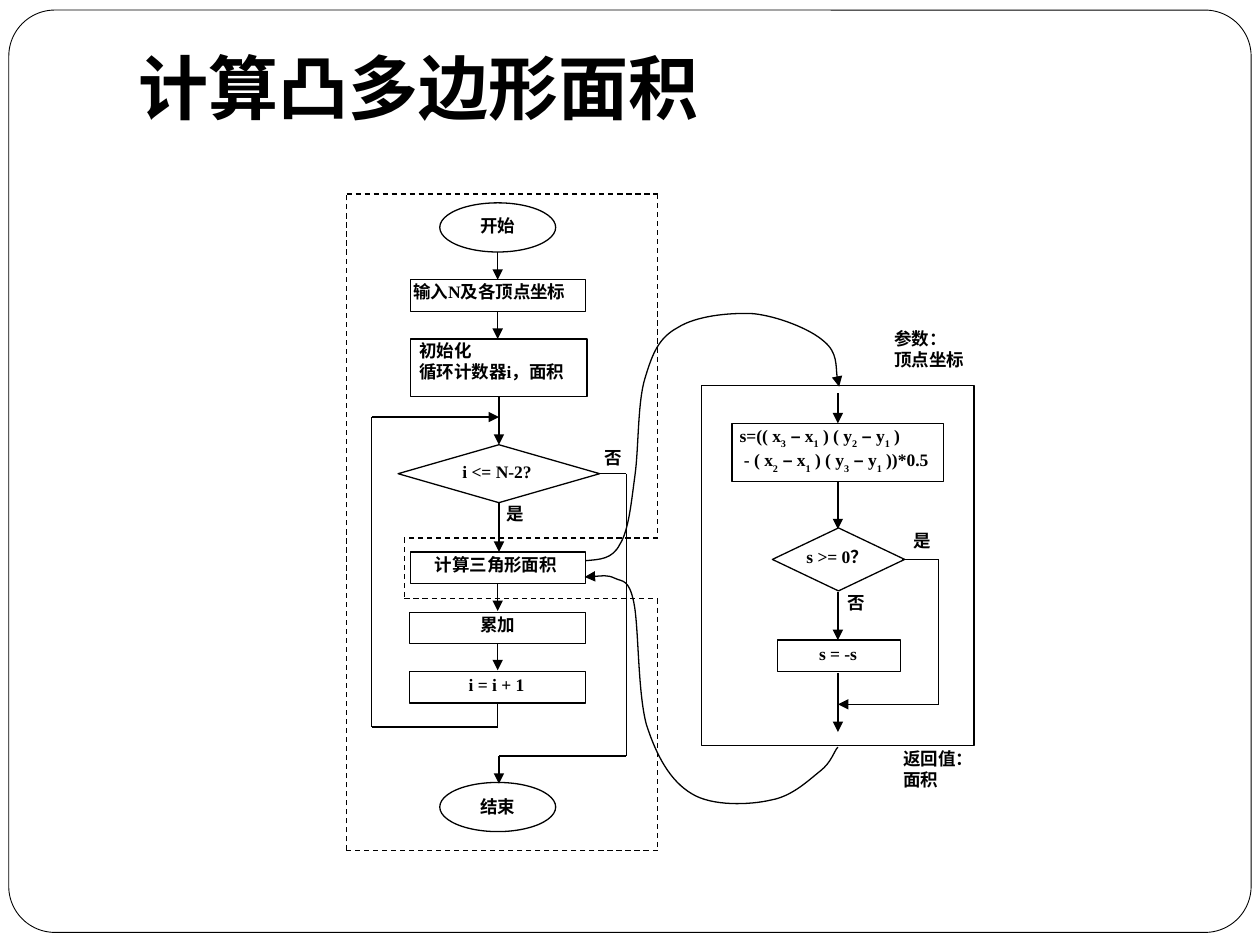
from itertools import pairwise

from lxml.etree import SubElement
from pptx import Presentation
from pptx.dml.color import RGBColor
from pptx.enum.dml import MSO_LINE
from pptx.enum.shapes import MSO_CONNECTOR, MSO_SHAPE as Shape
from pptx.enum.text import MSO_ANCHOR, MSO_AUTO_SIZE, PP_ALIGN
from pptx.oxml.ns import qn
from pptx.util import Emu, Pt

SCALE = 9144
COLORS = {"ink": "000000", "paper": "FFFFFF"}
LATIN = "Times New Roman"
CHINESE = "Noto Sans CJK SC"
SYMBOL = "Arial"

OUTLINES = [
    (Shape.OVAL, 349, 161, 92, 39),
    (Shape.RECTANGLE, 326, 222, 139, 25),
    (Shape.RECTANGLE, 326, 269, 140, 46),
    (Shape.FLOWCHART_DECISION, 316, 353, 160, 46),
    (Shape.RECTANGLE, 326, 438, 139, 25),
    (Shape.RECTANGLE, 325, 486, 140, 25),
    (Shape.RECTANGLE, 325, 533, 140, 25),
    (Shape.OVAL, 349, 621, 92, 39),
    (Shape.RECTANGLE, 557, 306, 216, 286),
    (Shape.RECTANGLE, 581, 336, 168, 46),
    (Shape.FLOWCHART_DECISION, 613, 419, 105, 50),
    (Shape.RECTANGLE, 617, 508, 98, 25),
]

LABELS = [
    (["开始"], 379, 170, 35, 23),
    (["输入N及各顶点坐标"], 326, 222, 139, 23),
    (["初始化", "循环计数器i，面积"], 331, 269, 139, 46),
    (["i <= N-2?"], 365, 365, 83, 23),
    (["否"], 478, 354, 35, 23),
    (["是"], 400, 398, 35, 23),
    (["计算三角形面积"], 343, 439, 119, 23),
    (["累加"], 379, 486, 75, 23),
    (["i = i + 1"], 370, 534, 75, 23),
    (["结束"], 379, 631, 35, 23),
    (["参数：", "顶点坐标"], 708, 259, 66, 48),
    (["s >= 0？"], 638, 432, 99, 23),
    (["是"], 723, 420, 35, 23),
    (["否"], 671, 469, 35, 23),
    (["s = -s"], 648, 509, 42, 23),
    (["返回值：", "面积"], 715, 593, 48, 47),
]

FORMULA = [
    ["s=(( x", "3", " –", " x", "1", " ) ( y", "2", " –", " y", "1", " )"],
    [" - ( x", "2", " –", " x", "1", " ) ( y", "3", " –", " y", "1", " ))*0.5"],
]

DOWN_ARROWS = [
    (395, 200, 222), (395, 248, 269), (396, 315, 353), (396, 399, 438),
    (395, 463, 485), (395, 511, 532), (665, 312, 336), (665, 382, 420),
    (665, 470, 508), (665, 534, 581),
]

ROUTES = [
    [(395, 558), (395, 577), (295, 577), (295, 331), (396, 331)],
    [(476, 376), (497, 376), (497, 600), (396, 600), (396, 622)],
    [(716, 444), (745, 444), (745, 559), (665, 559)],
]

MAIN_FRAME = [
    (275, 154), (522, 154), (522, 427), (321, 427), (321, 475),
    (522, 475), (522, 675), (275, 675), (275, 154),
]

CALL_CURVE = [
    (465, 445), (476, 444), (486, 444), (492, 432), (499, 421), (501, 399),
    (504, 377), (507, 355), (506, 319), (512, 300), (518, 280), (523, 268),
    (538, 260), (552, 251), (578, 248), (598, 249), (617, 251), (643, 261),
    (654, 271), (665, 280), (663, 299), (666, 307),
]

RETURN_CURVE = [
    (665, 593), (662, 596), (660, 605), (651, 612), (642, 619), (629, 632),
    (612, 635), (595, 639), (565, 640), (549, 630), (532, 620), (521, 600),
    (513, 575), (506, 549), (507, 497), (503, 478), (499, 459), (494, 462),
    (488, 459), (482, 456), (469, 458), (464, 458),
]


def px(*lengths):
    return [Emu(length * SCALE) for length in lengths]


def color(name):
    return RGBColor.from_string(COLORS[name])


def style_line(line, width=0.75, arrow=False, dashed=False):
    line.color.rgb = color("ink")
    line.width = Pt(width)
    if dashed:
        line.dash_style = MSO_LINE.DASH
    if arrow:
        SubElement(line._get_or_add_ln(), qn("a:tailEnd"), type="triangle")


def style_run(run, size, latin=LATIN):
    run.font.name = latin
    run.font.size = Pt(size)
    run.font.bold = True
    run.font.color.rgb = color("ink")
    SubElement(run._r.get_or_add_rPr(), qn("a:ea"), typeface=CHINESE)


def add_title(slide, text):
    title = slide.shapes.title
    title.left, title.top, title.width, title.height = px(100, 30, 850, 125)
    frame = title.text_frame
    frame.text = text
    frame.vertical_anchor = MSO_ANCHOR.TOP
    frame.auto_size = MSO_AUTO_SIZE.NONE
    frame.paragraphs[0].alignment = PP_ALIGN.LEFT
    style_run(frame.paragraphs[0].runs[0], 40, CHINESE)


def add_outline(slide, kind, *box):
    shape = slide.shapes.add_shape(kind, *px(*box))
    shape.shadow.inherit = False
    shape.fill.background()
    style_line(shape.line)
    return shape


def add_border(slide):
    border = add_outline(slide, Shape.ROUNDED_RECTANGLE, 7, 8, 986, 732)
    border.adjustments[0] = 0.05
    border.fill.solid()
    border.fill.fore_color.rgb = color("paper")
    border.line.width = Pt(0.5)
    slide.shapes.title._element.addprevious(border._element)


def add_text_box(slide, *box):
    frame = slide.shapes.add_textbox(*px(*box)).text_frame
    frame.word_wrap = True
    frame.margin_left, frame.margin_right = px(2, 2)
    frame.margin_top, frame.margin_bottom = px(1, 1)
    return frame


def add_label(slide, lines, *box):
    frame = add_text_box(slide, *box)
    frame.text = "\n".join(lines)
    for paragraph in frame.paragraphs:
        style_run(paragraph.runs[0], 10)


def add_formula(slide, lines, *box):
    frame = add_text_box(slide, *box)
    for index, pieces in enumerate(lines):
        paragraph = frame.add_paragraph() if index else frame.paragraphs[0]
        for piece in pieces:
            run = paragraph.add_run()
            run.text = piece
            style_run(run, 10, SYMBOL if "–" in piece else LATIN)
            if piece.isdigit():
                run._r.get_or_add_rPr().set("baseline", "-30000")


def add_route(slide, points, arrow=False, dashed=False):
    segments = list(pairwise(points))
    for index, (start, end) in enumerate(segments, 1):
        connector = slide.shapes.add_connector(
            MSO_CONNECTOR.STRAIGHT, *px(*start, *end))
        style_line(connector.line, arrow=arrow and index == len(segments), dashed=dashed)
        SubElement(connector._element.spPr, qn("a:effectLst"))


def add_curve(slide, points):
    builder = slide.shapes.build_freeform(*points[0], scale=SCALE)
    builder.add_line_segments(points[1:], close=False)
    shape = builder.convert_to_shape()
    shape.shadow.inherit = False
    shape.fill.background()
    style_line(shape.line, arrow=True)
    outline = shape._element.find(".//" + qn("a:path"))
    steps = outline.findall(qn("a:lnTo"))
    for first in range(0, len(steps), 3):
        bezier = SubElement(outline, qn("a:cubicBezTo"))
        for step in steps[first:first + 3]:
            bezier.append(step[0])
            outline.remove(step)


def main():
    presentation = Presentation()
    presentation.slide_width, presentation.slide_height = px(1000, 750)
    slide = presentation.slides.add_slide(presentation.slide_layouts[5])
    add_border(slide)
    add_title(slide, "计算凸多边形面积")
    for outline in OUTLINES:
        add_outline(slide, *outline)
    add_route(slide, MAIN_FRAME, dashed=True)
    for x, top, bottom in DOWN_ARROWS:
        add_route(slide, [(x, top), (x, bottom)], arrow=True)
    for route in ROUTES:
        add_route(slide, route, arrow=True)
    for curve in (CALL_CURVE, RETURN_CURVE):
        add_curve(slide, curve)
    for label in LABELS:
        add_label(slide, *label)
    add_formula(slide, FORMULA, 585, 336, 173, 48)
    presentation.save("out.pptx")


if __name__ == "__main__":
    main()
